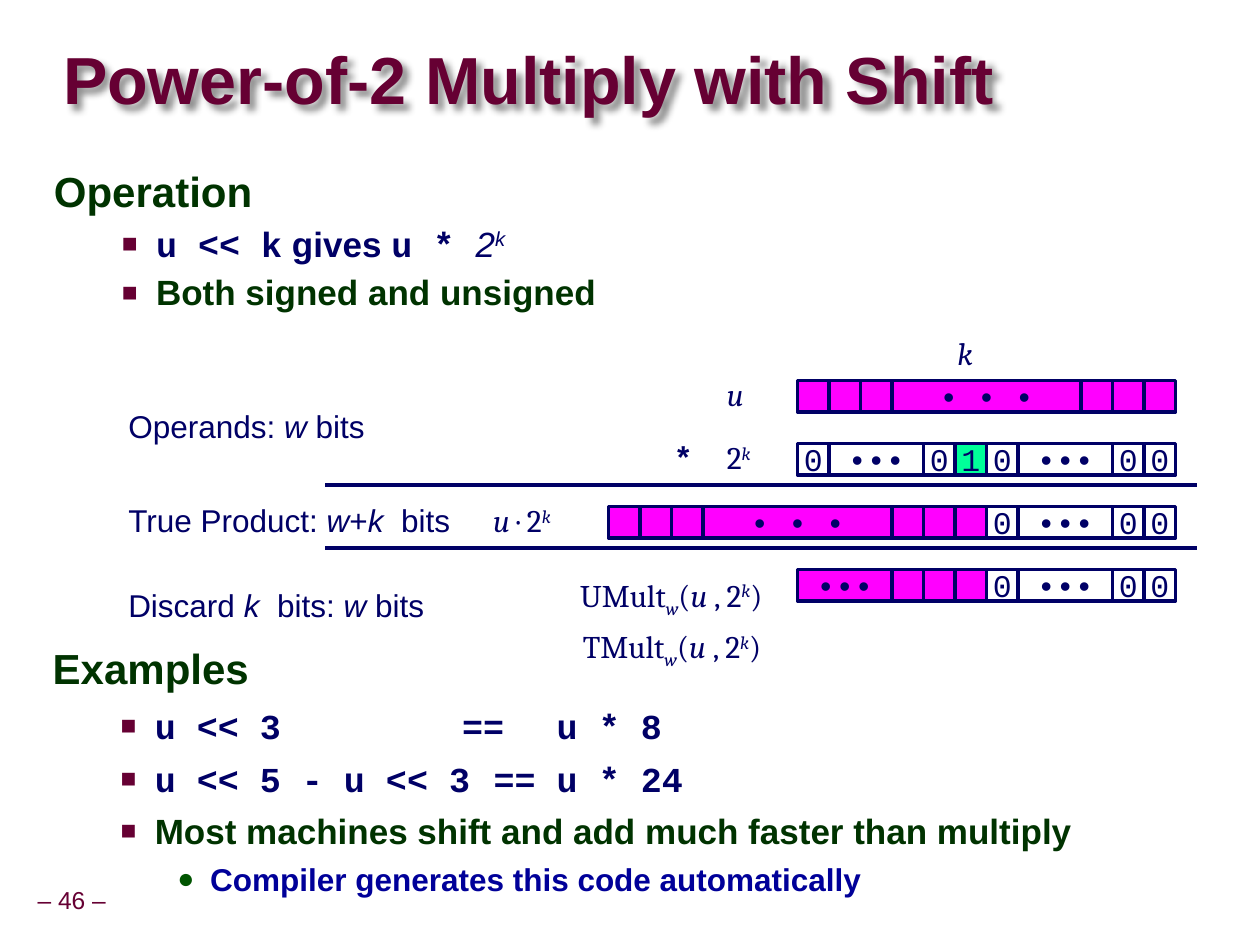
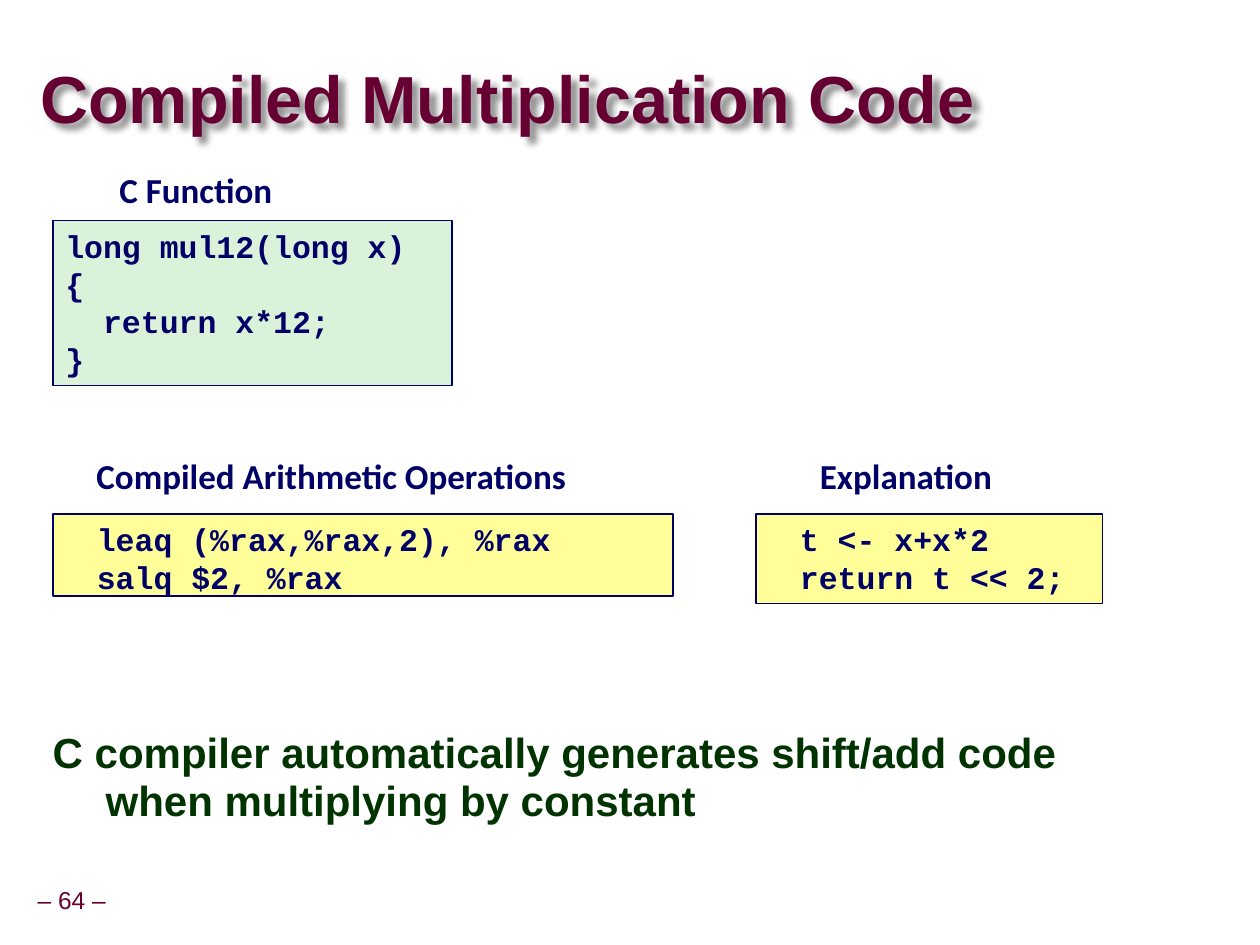
"""Two lecture slides on multiplying with shifts."""
from dataclasses import dataclass
from typing import Any, NamedTuple

from lxml import etree
from pptx import Presentation
from pptx import util as u
from pptx.dml.color import RGBColor
from pptx.enum import shapes, text
from pptx.oxml import ns

PX = 9144  # EMU per px, 100 px to the inch

# Colours
MAROON = RGBColor(0x66, 0x00, 0x33)
NAVY = RGBColor(0x00, 0x00, 0x66)
BLUE = RGBColor(0x00, 0x00, 0x99)
FOREST = RGBColor(0x00, 0x33, 0x00)
LEAF = RGBColor(0x00, 0x54, 0x00)
WHITE = RGBColor(0xFF, 0xFF, 0xFF)
MAGENTA = RGBColor(0xFF, 0x00, 0xFF)
MINT = RGBColor(0x00, 0xFF, 0x99)
PALE_GREEN = RGBColor(0xDB, 0xF2, 0xDA)
PALE_YELLOW = RGBColor(0xFF, 0xFF, 0x99)

# Character formats
Format = dict[str, Any]
TITLE: Format = dict(name="Arial", size=38, bold=True, color=MAROON)
FOOTER: Format = dict(name="Arial", size=14, color=MAROON)
HEAD: Format = dict(name="Arial", size=24, bold=True, color=FOREST)
ITEM: Format = HEAD | dict(size=20)
ITEM_CODE: Format = dict(name="Courier New", size=20, bold=True, color=NAVY)
DETAIL: Format = dict(name="Arial", size=18, bold=True, color=BLUE)
LABEL: Format = dict(name="Arial", size=18, color=NAVY)
LABEL_VAR: Format = LABEL | dict(italic=True)
MATH: Format = LABEL | dict(name="Cambria")
MATH_VAR: Format = MATH | dict(italic=True)
SUPER: Format = MATH_VAR | dict(baseline=30)
SUB: Format = MATH_VAR | dict(baseline=-25)
BIT: Format = LABEL | dict(name="Courier New")
CODE: Format = BIT | dict(bold=True)
CAPTION: Format = dict(name="Calibri", size=20, bold=True, color=NAVY)

LEFT, CENTER, RIGHT = text.PP_ALIGN.LEFT, text.PP_ALIGN.CENTER, text.PP_ALIGN.RIGHT
TOP, MIDDLE = text.MSO_ANCHOR.TOP, text.MSO_ANCHOR.MIDDLE


class Run(NamedTuple):
    text: str
    fmt: Format


class Bullet(NamedTuple):
    char: str
    color: RGBColor
    percent: int


@dataclass(frozen=True)
class Para:
    runs: tuple[Run, ...]
    level: int = 0
    align: Any = LEFT
    margin: int = 0
    hang: int = 0
    spacing: float = 1.0
    before: int = 0
    tab: int = 0
    bullet: Bullet | None = None


class Box(NamedTuple):
    x: int
    y: int
    w: int
    h: int

    def emu(self) -> tuple[int, ...]:
        return tuple(v * PX for v in self)


class Cell(NamedTuple):
    text: str = ""
    bits: int = 1
    fill: RGBColor = WHITE


class BitRow(NamedTuple):
    y: int
    cells: list[Cell]


SQUARE = Bullet("■", MAROON, 75)
DISC = Bullet("●", LEAF, 90)
LIST_TAB = 325


def head(label: str, tab: int = 0) -> Para:
    return Para((Run(label, HEAD),), margin=42, hang=42, spacing=0.95, tab=tab)


def item(*runs: Run, spacing: float = 1.0) -> Para:
    return Para(runs, level=1, margin=81, hang=27, spacing=spacing, before=6,
                tab=LIST_TAB, bullet=SQUARE)


# Drawing helpers
def sub(parent: Any, tag: str, **attrs: Any) -> Any:
    el = etree.SubElement(parent, ns.qn(tag))
    for key, value in attrs.items():
        el.set(key, str(value))
    return el


def add_run(p: Any, run: Run) -> None:
    r = p.add_run()
    r.text = run.text
    for key, value in run.fmt.items():
        if key == "color":
            r.font.color.rgb = value
        elif key == "baseline":
            r.font._element.set("baseline", str(value * 1000))
        else:
            setattr(r.font, key, u.Pt(value) if key == "size" else value)


def write(tf: Any, paras: list[Para], anchor: Any = TOP, wrap: bool = True,
          inset: tuple[int, int] = (10, 5)) -> None:
    dx, dy = (v * PX for v in inset)
    frame = dict(word_wrap=wrap, vertical_anchor=anchor, margin_left=dx,
                 margin_right=dx, margin_top=dy, margin_bottom=dy)
    for key, value in frame.items():
        setattr(tf, key, value)
    for n, para in enumerate(paras):
        p = tf.add_paragraph() if n else tf.paragraphs[0]
        ppr = p._p.get_or_add_pPr()
        if para.margin:
            ppr.set("marL", str(para.margin * PX))
            ppr.set("indent", str(-para.hang * PX))
        if para.bullet:
            clr = sub(ppr, "a:buClr")
            sub(clr, "a:srgbClr", val=para.bullet.color)
            sub(ppr, "a:buSzPct", val=para.bullet.percent * 1000)
            sub(ppr, "a:buFont", typeface="Arial")
            sub(ppr, "a:buChar", char=para.bullet.char)
        if para.tab:
            sub(sub(ppr, "a:tabLst"), "a:tab", pos=para.tab * PX, algn="l")
        layout = dict(level=para.level, alignment=para.align,
                      line_spacing=para.spacing, space_before=u.Pt(para.before))
        for key, value in layout.items():
            setattr(p, key, value)
        for run in para.runs:
            add_run(p, run)


def add_text(s: Any, box: Box, paras: list[Para], **frame: Any) -> Any:
    sp = s.shapes.add_textbox(*box.emu())
    write(sp.text_frame, paras, **frame)
    return sp


def add_label(s: Any, box: Box, *runs: Run, align: Any = LEFT) -> None:
    add_text(s, box, [Para(runs, align=align)], wrap=False)


def add_rect(s: Any, box: Box, fill: RGBColor, line: int) -> Any:
    sp = s.shapes.add_shape(shapes.MSO_SHAPE.RECTANGLE, *box.emu())
    sp.shadow.inherit = False
    sp.fill.solid()
    sp.fill.fore_color.rgb = fill
    sp.line.color.rgb = NAVY
    sp.line.width = u.Pt(line)
    return sp


def add_rule(s: Any, x1: int, x2: int, y: int) -> None:
    c = s.shapes.add_connector(shapes.MSO_CONNECTOR.STRAIGHT,
                               x1 * PX, y * PX, x2 * PX, y * PX)
    c.line.color.rgb = NAVY
    c.line.width = u.Pt(2)
    sub(c._element.spPr, "a:effectLst")


def add_bits(s: Any, row: BitRow, right: int = 933, size: int = 25) -> None:
    """Draw a row of cells that ends at the common right edge."""
    x = right - size * sum(cell.bits for cell in row.cells)
    for cell in row.cells:
        w = cell.bits * size
        sp = add_rect(s, Box(x, row.y, w, size), cell.fill, 2)
        if cell.text:
            write(sp.text_frame, [Para((Run(cell.text, BIT),), align=CENTER)],
                  anchor=MIDDLE, wrap=False)
        x += w


def add_code(s: Any, box: Box, fill: RGBColor, lines: list[str], tab: int = 0) -> None:
    sp = add_rect(s, box, fill, 1)
    write(sp.text_frame, [Para((Run(line, CODE),), tab=tab) for line in lines])


def new_slide(prs: Any, title: str, box: Box, number: int) -> Any:
    """Add a blank slide with its shadowed title and page number."""
    s = prs.slides.add_slide(prs.slide_layouts[6])
    sp = add_text(s, box, [Para((Run(title, TITLE),), spacing=0.87)],
                  anchor=MIDDLE, inset=(0, 0))
    shadow = sub(sub(sp._element.spPr, "a:effectLst"), "a:outerShdw", blurRad=50800,
                 dist=50800, dir=2700000, algn="tl", rotWithShape=0)
    sub(sub(shadow, "a:srgbClr", val="000000"), "a:alpha", val=43000)
    page = Para((Run(f"– {number} –", FOOTER),), align=CENTER, spacing=0.9)
    add_text(s, Box(24, 700, 66, 31), [page], anchor=MIDDLE, wrap=False, inset=(5, 5))
    return s


# Slide: shifting by k
def shift_slide(prs: Any) -> None:
    s = new_slide(prs, "Power-of-2 Multiply with Shift", Box(50, 35, 809, 63), 46)
    add_text(s, Box(32, 508, 909, 197), [
        head("Examples", LIST_TAB),
        item(Run("u << 3\t==\tu * 8", ITEM_CODE)),
        item(Run("u << 5 - u << 3\t==\tu * 24", ITEM_CODE)),
        item(Run("Most machines shift and add much faster than multiply", ITEM)),
        Para((Run("Compiler generates this code automatically", DETAIL),), level=2,
             margin=125, hang=26, spacing=1.07, before=3, tab=LIST_TAB, bullet=DISC),
    ])

    # Bit rows
    zero, dots = Cell("0"), Cell("•••", 3)
    data = [Cell(fill=MAGENTA)] * 3
    operand = [*data, Cell("• • •", 6, MAGENTA), *data]
    zeros = [zero, dots, zero, zero]
    for row in (
        BitRow(302, operand),
        BitRow(352, [zero, dots, zero, Cell("1", fill=MINT), *zeros]),
        BitRow(402, operand + zeros),
        BitRow(452, [Cell("•••", 3, MAGENTA), *data, *zeros]),
    ):
        add_bits(s, row)
    for y in (385, 435):
        add_rule(s, 258, 950, y)

    # Row labels
    w, k = Run("w", LABEL_VAR), Run("k", LABEL_VAR)
    power = (Run("2", MATH), Run("k", SUPER))
    add_label(s, Box(92, 318, 208, 40), Run("Operands: ", LABEL), w, Run(" bits", LABEL))
    add_label(s, Box(92, 393, 277, 40), Run("True Product: ", LABEL), w,
              Run("+", LABEL), k, Run("  bits", LABEL))
    add_label(s, Box(92, 460, 267, 40), Run("Discard ", LABEL), Run("k ", LABEL_VAR),
              Run(" bits: ", LABEL), w, Run(" bits", LABEL))
    add_label(s, Box(750, 260, 31, 40), Run("k", MATH_VAR))
    add_label(s, Box(567, 293, 33, 40), Run("u", MATH_VAR))
    add_label(s, Box(567, 343, 40, 40), *power)
    add_label(s, Box(525, 343, 35, 40), Run("*", CODE))
    add_label(s, Box(376, 393, 71, 40), Run("u ", MATH_VAR), Run("· ", MATH), *power,
              align=RIGHT)
    for name, box in (("UMult", Box(449, 452, 166, 40)), ("TMult", Box(451, 493, 163, 40))):
        add_label(s, box, Run(name, MATH), Run("w", SUB), Run("(", MATH),
                  Run("u", MATH_VAR), Run(" , ", MATH), *power, Run(")", MATH),
                  align=RIGHT)

    add_text(s, Box(33, 129, 909, 155), [
        head("Operation", LIST_TAB),
        item(Run("u << k", ITEM_CODE), Run(" gives ", ITEM_CODE | dict(name="Arial")),
             Run("u * ", ITEM_CODE), Run("2", LABEL_VAR | dict(size=20)),
             Run("k", LABEL_VAR | dict(size=20, baseline=30)), spacing=0.9),
        item(Run("Both signed and unsigned", ITEM), spacing=0.9),
    ])


# Slide: compiled code
def compiled_slide(prs: Any) -> None:
    s = new_slide(prs, "Compiled Multiplication Code", Box(32, 50, 784, 63), 64)
    add_code(s, Box(42, 175, 317, 131), PALE_GREEN,
             ["long mul12(long x)", "{", "  return x*12;", "}"])
    add_code(s, Box(42, 408, 492, 65), PALE_YELLOW,
             ["\tleaq\t(%rax,%rax,2), %rax", "\tsalq\t$2, %rax"], tab=25)
    add_code(s, Box(600, 408, 275, 71), PALE_YELLOW,
             ["\tt <- x+x*2", "\treturn t << 2;"], tab=25)
    for caption, box in (
        ("C Function", Box(89, 129, 133, 44)),
        ("Compiled Arithmetic Operations", Box(70, 356, 386, 44)),
        ("Explanation", Box(645, 356, 148, 44)),
    ):
        add_text(s, box, [Para((Run(caption, CAPTION),), align=CENTER)],
                 wrap=False, inset=(5, 5))
    add_text(s, Box(32, 575, 909, 130), [
        head("C compiler automatically generates shift/add code "
             "when multiplying by constant")])


def main() -> None:
    prs = Presentation()
    prs.slide_width, prs.slide_height = 1000 * PX, 750 * PX
    shift_slide(prs)
    compiled_slide(prs)
    prs.save("out.pptx")


if __name__ == "__main__":
    main()
